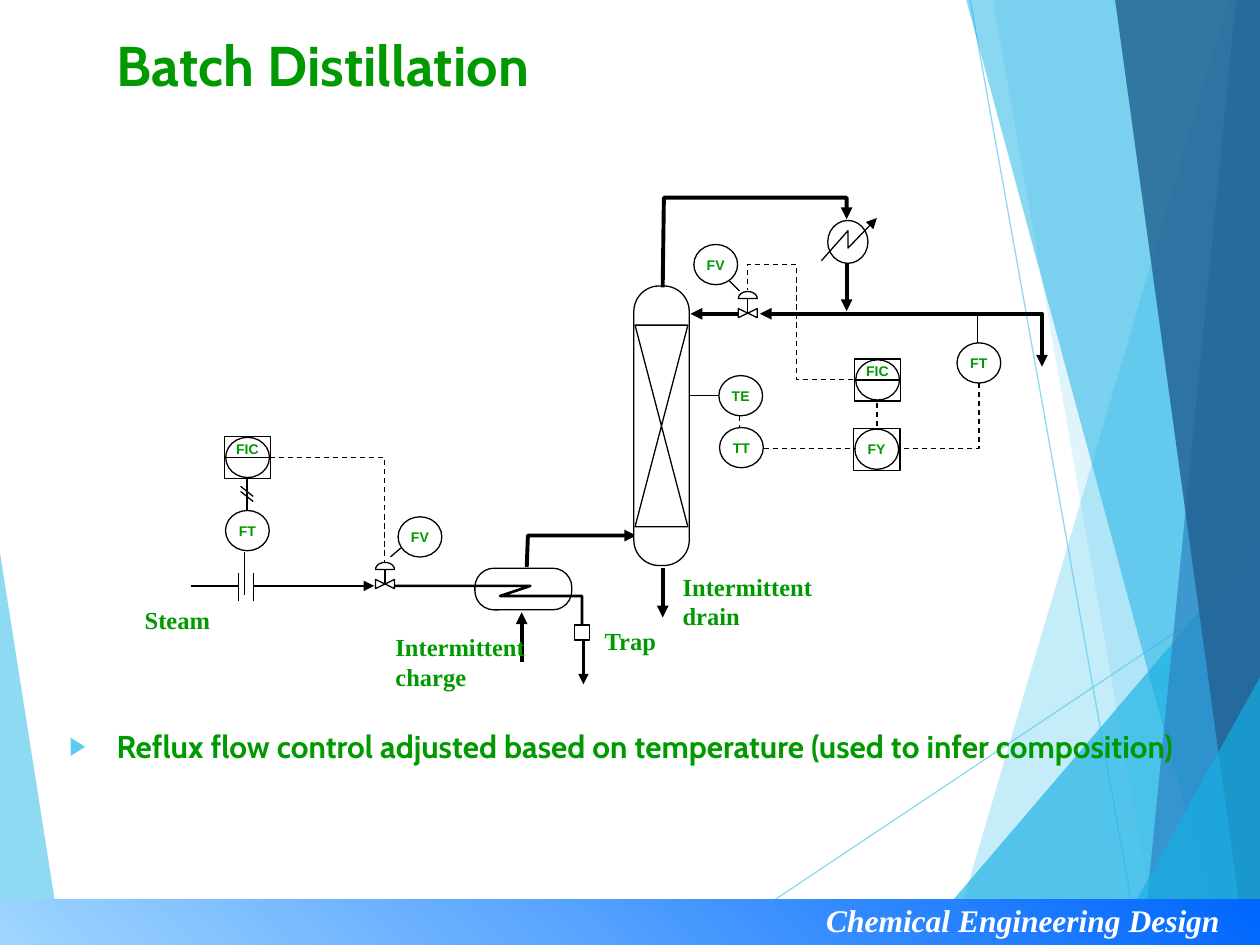
import math
from dataclasses import dataclass

from lxml import etree
from pptx import Presentation
from pptx.dml import color
from pptx.enum import dml, shapes, text
from pptx.oxml import ns
from pptx.util import Pt

COLORS = {"black": "000000", "white": "FFFFFF", "green": "009900", "sky": "5FCBEF",
          "cyan": "17B0E4", "blue": "2E83C3", "navy": "236292",
          "bar_light": "9FD6FF", "bar_dark": "0066FF"}
FONTS = {
    "title": {"name": "Cabin", "size": Pt(32), "bold": True},
    "body": {"name": "Cabin", "size": Pt(18), "bold": True},
    "tag": {"name": "Arial", "size": Pt(8), "bold": True},
    "stream": {"name": "Times New Roman", "size": Pt(14), "bold": True},
    "footer": {"name": "Times New Roman", "size": Pt(18), "bold": True, "italic": True},
}
THIN, MEDIUM, THICK = 0.75, 1.5, 2.25
SHAPE = shapes.MSO_SHAPE


@dataclass
class Box:
    """A region of the page; parts are placed in points from its left top corner."""
    page: object
    left: float
    top: float
    width: float
    height: float

    def place(self, x, y):
        return Pt(self.left + x), Pt(self.top + y)


def rgb(name):
    return color.RGBColor.from_string(COLORS[name])


def add_xml(parent, tag, **values):
    child = etree.SubElement(parent, ns.qn(tag))
    for name, value in values.items():
        child.set(name, str(value))
    return child


def write(frame, words, style, ink="green"):
    para = frame.paragraphs[0]
    span = para.add_run()
    span.text = words
    for name, value in FONTS[style].items():
        setattr(span.font, name, value)
    span.font.color.rgb = rgb(ink)
    return para


def paint(shape, fill=None, line="black", alpha=100):
    shape.shadow.inherit = False
    if fill:
        shape.fill.solid()
        shape.fill.fore_color.rgb = rgb(fill)
        if alpha < 100:
            value = shape.fill._xPr.find(".//" + ns.qn("a:srgbClr"))
            add_xml(value, "a:alpha", val=alpha * 1000)
    else:
        shape.fill.background()
    if line:
        shape.line.color.rgb = rgb(line)
        shape.line.width = Pt(THIN)
    else:
        shape.line.fill.background()


def solid(box, kind, x, y, width, height, fill="white"):
    shape = box.page.shapes.add_shape(kind, *box.place(x, y), Pt(width), Pt(height))
    paint(shape, fill)
    return shape


def outline(box, points, closed=False):
    start, *rest = [box.place(*point) for point in points]
    builder = box.page.shapes.build_freeform(*start, scale=1.0)
    builder.add_line_segments(rest, close=closed)
    return builder.convert_to_shape()


def pipe(box, *points, width=THIN, dashed=False, head=False, tail=False, ink="black", alpha=100):
    """A line through the points: a connector for two, an open outline for more."""
    if len(points) == 2:
        shape = box.page.shapes.add_connector(
            shapes.MSO_CONNECTOR.STRAIGHT, *box.place(*points[0]), *box.place(*points[1]))
        add_xml(shape.element.spPr, "a:effectLst")
    else:
        shape = outline(box, points)
        paint(shape)
    shape.line.color.rgb = rgb(ink)
    shape.line.width = Pt(width)
    if dashed:
        shape.line.dash_style = dml.MSO_LINE.DASH
    line = shape.line._get_or_add_ln()
    if alpha < 100:
        add_xml(line.find(".//" + ns.qn("a:srgbClr")), "a:alpha", val=alpha * 1000)
    for tag, wanted in (("a:headEnd", head), ("a:tailEnd", tail)):
        if wanted:
            add_xml(line, tag, type="triangle")


def label(box, words, x, y, width, height, style="stream", wrap=False, ink="green"):
    frame = box.page.shapes.add_textbox(*box.place(x, y), Pt(width), Pt(height)).text_frame
    frame.word_wrap = wrap
    return write(frame, words, style, ink)


def instrument(box, tag, x, y):
    shape = solid(box, SHAPE.OVAL, x - 12.5, y - 11.5, 25, 23)
    if tag:
        frame = shape.text_frame
        frame.word_wrap = False
        frame.vertical_anchor = text.MSO_ANCHOR.MIDDLE
        write(frame, tag, "tag").alignment = text.PP_ALIGN.CENTER


def controller(box, tag, x, y, split=True):
    """An instrument in a square; a split one has a mid line and its tag above."""
    instrument(box, None if split else tag, x, y)
    solid(box, SHAPE.RECTANGLE, x - 13.3, y - 12, 26.6, 24, fill=None)
    if split:
        pipe(box, (x - 13.3, y), (x + 13.3, y))
        label(box, tag, x - 13.7, y - 13.2, 27.4, 17.3, "tag")


def control_valve(box, x, y):
    body = solid(box, SHAPE.FLOWCHART_COLLATE, x - 2.6, y - 5.4, 5.2, 10.8)
    body.rotation = 270
    pipe(box, (x, y), (x, y - 8.3))
    angles = [math.pi * step / 12 for step in range(13)]
    dome = [(x - 5.4 * math.cos(angle), y - 8.3 - 4 * math.sin(angle)) for angle in angles]
    paint(outline(box, dome, closed=True), "white")


def draw_facets(box):
    right, low = box.width, box.height
    fans = [
        ("sky", 70, [(0, 316), (35.3, low), (0, low)]),
        ("sky", 36, [(702, 0), (543, low), (right, low), (right, 0)]),
        ("sky", 20, [(567.4, 0), (661.7, low), (right, low), (right, 0)]),
        ("cyan", 66, [(522.7, low), (right, 309), (right, low)]),
        ("cyan", 50, [(552.2, 0), (698.4, low), (right, low), (right, 0)]),
        ("blue", 70, [(706.3, 0), (653, low), (right, low), (right, 0)]),
        ("navy", 82, [(637.2, 0), (711.4, low), (right, low), (right, 0)]),
        ("cyan", 66, [(635, low), (right, 387), (right, low)]),
    ]
    for start, end in (((404, low), (right, 329)), ((554.4, 0), (650.9, low))):
        pipe(box, start, end, ink="sky", alpha=70)
    for fill, alpha, points in fans:
        paint(outline(box, points, closed=True), fill, None, alpha)


def draw_footer(box):
    bar = solid(box, SHAPE.RECTANGLE, 0, 0, box.width, box.height)
    bar.line.fill.background()
    bar.fill.gradient()
    bar.fill.gradient_angle = 45
    for stop, name in zip(bar.fill.gradient_stops, ("bar_light", "bar_dark")):
        stop.color.rgb = rgb(name)
    label(box, "Chemical Engineering Design", 465, -2.8, 255, 28.8, "footer",
          wrap=True, ink="white")


def draw_steam_heater(box):
    solid(box, SHAPE.ROUNDED_RECTANGLE, 199.4, 78.7, 55.4, 23.8).adjustments[0] = 0.46
    pipe(box, (37.4, 88.8), (64.1, 88.8), width=MEDIUM)
    pipe(box, (73.4, 88.8), (141.8, 88.8), width=MEDIUM, tail=True)
    for x in (64.1, 72.7):
        pipe(box, (x, 81.6), (x, 97.4))
    pipe(box, (67.7, 93.8), (67.7, 69.4))
    pipe(box, (69.1, 45.6), (69.1, 27.6))
    for y in (31.9, 34.8):
        pipe(box, (65.5, y), (72.7, y + 5.8))
    pipe(box, (82.1, 15.4), (147.6, 15.4), (147.6, 75.8), dashed=True)
    pipe(box, (151.2, 72.2), (157, 67.2))
    controller(box, "FIC", 69.5, 15.4)
    instrument(box, "FT", 69.4, 57.2)
    instrument(box, "FV", 168, 60.8)
    pipe(box, (153.4, 88.8), (231.1, 88.8), (213.8, 94.6), (260.6, 94.6), (260.6, 111.1),
         width=MEDIUM)
    control_valve(box, 148, 87.7)
    solid(box, SHAPE.RECTANGLE, 256.3, 111.1, 8.6, 8.6)
    pipe(box, (261.4, 119.7), (261.4, 145), width=MEDIUM, tail=True)
    pipe(box, (226.1, 132), (226.1, 103.9), width=THICK, tail=True)
    pipe(box, (229, 78), (229.7, 60), (291.6, 60), width=THICK, tail=True)
    label(box, "Steam", 3.6, 96, 51.8, 24.5)
    label(box, "Trap", 266.4, 108.2, 44.6, 24.5)
    label(box, "Intermittent charge", 146.9, 111.8, 100, 41, wrap=True)


def draw_column(box):
    solid(box, SHAPE.ROUNDED_RECTANGLE, 2.2, 55.4, 31.7, 159.8).adjustments[0] = 0.46
    solid(box, SHAPE.FLOWCHART_COLLATE, 2.9, 77.8, 30.2, 115.2, fill=None)
    pipe(box, (18.7, 56.2), (19.4, 5), (123.8, 5), (123.8, 17.3), width=THICK, tail=True)
    pipe(box, (18.7, 216.7), (18.7, 244.8), width=THICK, tail=True)
    label(box, "Intermittent drain", 23, 215.3, 100, 41, wrap=True)


def draw_reflux_loop(box):
    pipe(box, (31.9, 71.3), (4.6, 71.3), width=THICK, tail=True)
    pipe(box, (44.2, 71.3), (205.4, 71.3), (205.4, 101.5), width=THICK, head=True, tail=True)
    pipe(box, (93.8, 41.8), (93.8, 69.8), width=THICK, tail=True)
    solid(box, SHAPE.OVAL, 83, 18, 23, 24.5)
    pipe(box, (79.4, 41), (94.6, 23.8), (94.6, 33.8), (111.1, 16.6), tail=True)
    for start, end in (((20.4, 118.1), (3.8, 118.1)), ((32.6, 58.3), (26.9, 52.6)),
                       ((168.7, 87.8), (168.7, 71.3))):
        pipe(box, start, end)
    control_valve(box, 37.3, 70.9)
    for tag, x, y in (("FV", 19, 43.2), ("TE", 33.3, 118.1), ("TT", 33.7, 147.8),
                      ("FT", 169.4, 99.4)):
        instrument(box, tag, x, y)
    controller(box, "FIC", 111.5, 109.1)
    controller(box, "FY", 111, 148.7, split=False)
    signals = [
        [(46.3, 148.3), (98.9, 148.3)],
        [(169.4, 110.9), (169.4, 148.3), (125.5, 148.3)],
        [(97.4, 108.7), (65, 108.7), (65, 43.2), (37, 43.2), (37, 57.6)],
        [(32.6, 129.6), (32.6, 136.1)],
        [(111.1, 122.4), (111.1, 136.8)],
    ]
    for points in signals:
        pipe(box, *points, dashed=True)


def fill_placeholder(box, holder, words, style, anchor):
    """Move a placeholder into the box, in front of the rest, and write in it."""
    holder.left, holder.top = box.place(0, 0)
    holder.width, holder.height = Pt(box.width), Pt(box.height)
    box.page.shapes.element.append(holder.element)
    holder.text_frame.vertical_anchor = anchor
    para = write(holder.text_frame, words, style)
    para.alignment, para.space_before = text.PP_ALIGN.LEFT, Pt(0)
    return para


def add_bullet(para):
    props = para._p.get_or_add_pPr()
    props.set("marL", str(Pt(27)))
    props.set("indent", str(-Pt(27)))
    add_xml(add_xml(props, "a:buClr"), "a:srgbClr", val=COLORS["sky"])
    add_xml(props, "a:buSzPct", val=80000)
    add_xml(props, "a:buFont", typeface="Arial")
    add_xml(props, "a:buChar", char="▶")


def main():
    deck = Presentation()
    deck.slide_width, deck.slide_height = Pt(720), Pt(540)
    page = deck.slides.add_slide(deck.slide_layouts[1])
    title, body = page.placeholders
    draw_facets(Box(page, 0, 0, 720, 540))
    draw_footer(Box(page, 0, 514, 720, 26))
    draw_steam_heater(Box(page, 72, 246, 312, 154))
    draw_column(Box(page, 360, 108, 124, 257))
    draw_reflux_loop(Box(page, 390, 108, 206, 161))
    fill_placeholder(Box(page, 59.5, 12.7, 500, 48), title, "Batch Distillation",
                     "title", text.MSO_ANCHOR.MIDDLE)
    add_bullet(fill_placeholder(
        Box(page, 32.4, 412, 648, 69), body,
        "Reflux flow control adjusted based on temperature (used to infer composition)",
        "body", text.MSO_ANCHOR.TOP))
    deck.save("out.pptx")


if __name__ == "__main__":
    main()
